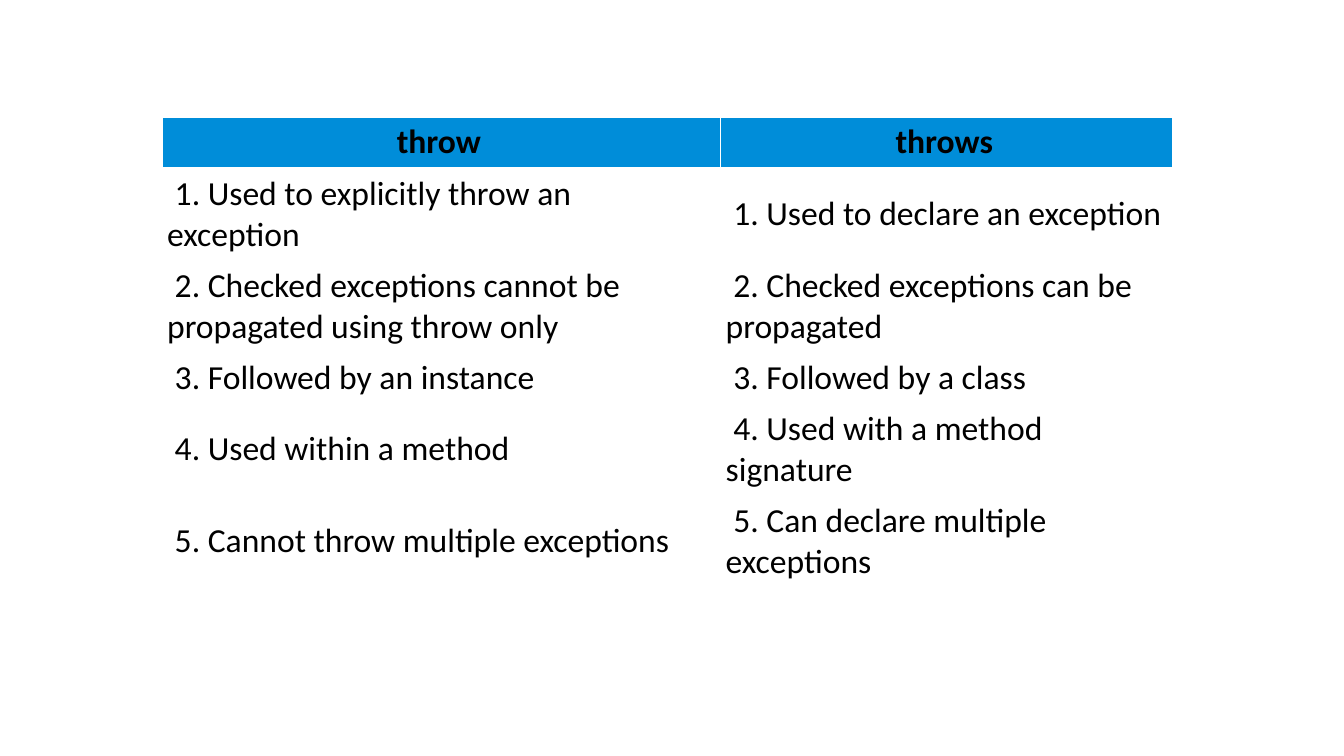
from pptx import Presentation
from pptx.dml.color import RGBColor
from pptx.enum import text as t
from pptx.util import Pt

BLACK = RGBColor(0x00, 0x00, 0x00)
WHITE = RGBColor(0xFF, 0xFF, 0xFF)
BLUE = RGBColor(0x00, 0x8D, 0xD9)

HEADINGS = ("throw", "throws")
DIFFERENCES = (
    ("Used to explicitly throw an exception", "Used to declare an exception"),
    ("Checked exceptions cannot be propagated using throw only",
     "Checked exceptions can be propagated"),
    ("Followed by an instance", "Followed by a class"),
    ("Used within a method", "Used with a method signature"),
    ("Cannot throw multiple exceptions", "Can declare multiple exceptions"),
)


def write(frame, wording, size=24, bold=False, color=BLACK,
          align=t.PP_ALIGN.LEFT):
    """Put one formatted paragraph into a text frame."""
    paragraph = frame.paragraphs[0]
    paragraph.alignment = align
    run = paragraph.add_run()
    run.text = wording
    run.font.name = "Calibri"
    run.font.size = Pt(size)
    run.font.bold = bold
    run.font.color.rgb = color


def fill_cell(cell, wording, background, **text_format):
    """Set the background, margins and wording of a table cell."""
    cell.fill.solid()
    cell.fill.fore_color.rgb = background
    cell.vertical_anchor = t.MSO_ANCHOR.MIDDLE
    cell.margin_left = cell.margin_top = cell.margin_bottom = Pt(3.6)
    cell.margin_right = Pt(7.2)
    write(cell.text_frame, wording, **text_format)


def add_comparison(slide, left, top, widths, height):
    """Add the table that sets throw against throws."""
    frame = slide.shapes.add_table(len(DIFFERENCES) + 1, len(HEADINGS),
                                   Pt(left), Pt(top), Pt(sum(widths)), Pt(height))
    comparison = frame.table
    for column, width in zip(comparison.columns, widths):
        column.width = Pt(width)
    for row in comparison.rows:
        row.height = Pt(16)
    frame.height = Pt(height)

    for column, heading in enumerate(HEADINGS):
        fill_cell(comparison.cell(0, column), heading, BLUE,
                  bold=True, align=t.PP_ALIGN.CENTER)
    for number, difference in enumerate(DIFFERENCES, start=1):
        for column, statement in enumerate(difference):
            fill_cell(comparison.cell(number, column),
                      f" {number}. {statement}", WHITE)


def main():
    """Build the slide and save it."""
    deck = Presentation()
    deck.slide_width, deck.slide_height = Pt(960), Pt(540)
    slide = deck.slides.add_slide(deck.slide_layouts[6])
    add_comparison(slide, left=115.8, top=83.5, widths=(399, 323), height=331)
    deck.save("out.pptx")


if __name__ == "__main__":
    main()
